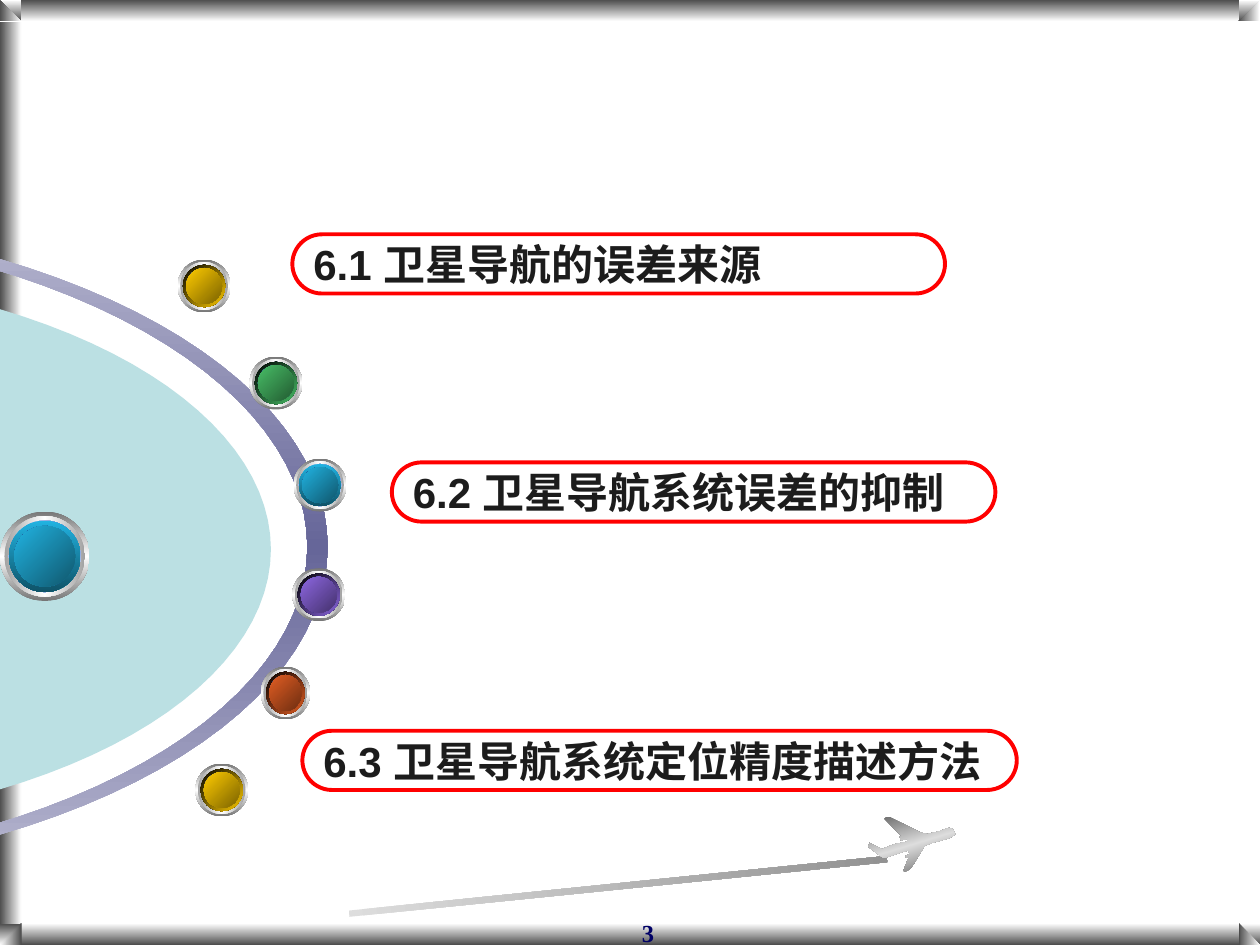
from math import cos, pi, sin
from lxml import etree
from pptx import Presentation
from pptx.dml.color import RGBColor
from pptx.enum import shapes, text
from pptx.oxml.ns import qn
from pptx.util import Inches, Pt

# Theme
THEME = dict(
    red="FF0000", ink="1C1C1C", navy="000066", teal="BBE0E3",
    head=24, num=14, sans="Arial", serif="Times New Roman",
    arc=("B9B9D1", "666699", "B9B9D1"),
    plane=("666666", "DDDDDD", "666666"), trail=("DDDDDD", "929292"),
    ring=("767676", "FFFFFF", "767676"), band=("A2A2A2", "FFFFFF", "A2A2A2"),
    glow=("FFFFFF", "3366CC", "FFFFFF"), core=("1C376E", "3366CC", "1C376E"),
)
OUT = ("4D4D4D", "FFFFFF")
IN = OUT[::-1]

# Content: heading, left, top, width
HEADS = [
    ("6.1 卫星导航的误差来源", 2.32, 1.86, 5.18),
    ("6.2 卫星导航系统误差的抑制", 3.11, 3.67, 4.79),
    ("6.3 卫星导航系统定位精度描述方法", 2.4, 5.8, 5.67),
]
PAGE = "3"

# Knob colours: rim, rim angle, face
GOLD = (("000000", "FFCC00"), 45, ("FFCC00", "7C6300"))
GREEN = (("000000", "48BE67"), 45, ("48BE67", "235C32"))
BLUE = (("21B3E1", "0F5368"), 90, ("21B3E1", "10576D"))
VIOLET = (("000000", "8D67E1"), 45, ("8D67E1", "45326D"))
RUST = (("000000", "E35E23"), 45, ("E35E23", "6E2E11"))
KNOBS = [  # left, top, width, height, colours
    (1.41, 2.06, 0.42, 0.42, GOLD), (1.98, 2.83, 0.42, 0.42, GREEN),
    (2.33, 3.64, 0.42, 0.42, BLUE), (2.32, 4.51, 0.42, 0.42, VIOLET),
    (2.07, 5.29, 0.39, 0.42, RUST), (1.55, 6.06, 0.42, 0.42, GOLD),
    (0, 4.06, 0.71, 0.71, BLUE),
]

# Frame: bars, then corners with turn and flips
EDGE, FAR, LOW = 0.17, 9.83, 7.33
BARS = [
    (0, EDGE, EDGE, 7.25, OUT, 0),
    (EDGE, LOW, 9.67, EDGE, IN, 90),
    (0, 0, 10, EDGE, OUT, 90),
]
CORNERS = [
    (0, 0, 0, "HV", OUT, 90), (0, 0, 0, "", OUT, 0),
    (FAR, 0, 0, "H", IN, 0), (FAR, 0, 0, "V", OUT, 90),
    (FAR, LOW, 270, "H", IN, 0), (FAR, LOW, 270, "V", IN, 90),
    (0, LOW, 90, "HV", IN, 90), (0, LOW, 90, "", OUT, 0),
]
PLANE = [
    (7.57, 6.6), (7.56, 6.58), (7.53, 6.57), (7.5, 6.58), (7.45, 6.6),
    (7.4, 6.61), (7.36, 6.62), (7.31, 6.61), (7.25, 6.58), (7.17, 6.54),
    (7.11, 6.51), (7.07, 6.49), (7.03, 6.49), (7.02, 6.5), (7.04, 6.52),
    (7.08, 6.56), (7.12, 6.6), (7.16, 6.64), (7.14, 6.64), (7.15, 6.67),
    (7.2, 6.66), (7.2, 6.68), (7.15, 6.69), (7.1, 6.7), (7.05, 6.72),
    (7, 6.74), (6.96, 6.72), (6.92, 6.7), (6.9, 6.69), (6.89, 6.72),
    (7.01, 6.81), (7.05, 6.8), (7.11, 6.78), (7.17, 6.76), (7.21, 6.75),
    (7.22, 6.78), (7.19, 6.79), (7.19, 6.81), (7.21, 6.81), (7.17, 6.91),
    (7.18, 6.92), (7.22, 6.9), (7.25, 6.86), (7.28, 6.81), (7.31, 6.76),
    (7.34, 6.71), (7.4, 6.69), (7.47, 6.67), (7.54, 6.65), (7.57, 6.63),
    (7.58, 6.62),
]

prs = Presentation()
prs.slide_width, prs.slide_height = Inches(10), Inches(7.5)
page = prs.slides.add_slide(prs.slide_layouts[6])
KIND = shapes.MSO_SHAPE


def paint(shape, fill, ang=0):
    """Fill with one colour, or with evenly spaced gradient stops."""
    shape.shadow.inherit = False
    shape.line.fill.background()
    if isinstance(fill, str):
        shape.fill.solid()
        shape.fill.fore_color.rgb = RGBColor.from_string(fill)
        return
    shape.fill.background()
    old = shape._element.spPr.find(qn("a:noFill"))
    grad = etree.Element(qn("a:gradFill"), rotWithShape="1")
    stops = etree.SubElement(grad, qn("a:gsLst"))
    for i, tint in enumerate(fill):
        spot = str(100000 * i // (len(fill) - 1))
        stop = etree.SubElement(stops, qn("a:gs"), pos=spot)
        etree.SubElement(stop, qn("a:srgbClr"), val=tint)
    etree.SubElement(grad, qn("a:lin"), ang=str(ang * 60000), scaled="0")
    old.getparent().replace(old, grad)


def add(kind, x, y, w, h, fill, ang=0):
    shape = page.shapes.add_shape(kind, *map(Inches, (x, y, w, h)))
    paint(shape, fill, ang)
    return shape


def trace(points, fill, ang=0):
    spots = [(Inches(x), Inches(y)) for x, y in points]
    pen = page.shapes.build_freeform(*spots[0])
    pen.add_line_segments(spots[1:], close=True)
    paint(pen.convert_to_shape(), fill, ang)


def bow(x, y, rx, ry, n=60):
    """Right half of an ellipse, from top to bottom."""
    turns = [pi * (i / n - 0.5) for i in range(n + 1)]
    return [(x + rx * cos(t), y + ry * sin(t)) for t in turns]


def write(para, words, size, font, tint):
    run = para.add_run()
    run.text = words
    run.font.size, run.font.name, run.font.bold = Pt(size), font, True
    run.font.color.rgb = RGBColor.from_string(tint)


# Frame
for bar in BARS:
    add(KIND.RECTANGLE, *bar)
for x, y, turn, flips, fill, ang in CORNERS:
    tri = add(KIND.RIGHT_TRIANGLE, x, y, EDGE, EDGE, fill, ang)
    tri.rotation = turn
    for axis in flips:
        tri._element.spPr.get_or_add_xfrm().set("flip" + axis, "1")

# Plane and trail
trail = add(KIND.RECTANGLE, 2.76, 7.01, 4.29, 0.05, THEME["trail"])
trail.rotation = 354.2
trace(PLANE, THEME["plane"], 73)

# Page number
box = page.shapes.add_textbox(*map(Inches, (4.33, 7.24, 0.96, 0.33)))
box.text_frame.word_wrap = True
para = box.text_frame.paragraphs[0]
para.alignment = text.PP_ALIGN.RIGHT
write(para, PAGE, THEME["num"], THEME["serif"], THEME["navy"])

# Arc and disc
trace(bow(-2.62, 4.34, 5.22, 2.64) + bow(-2.62, 4.34, 5.06, 2.56)[::-1],
      THEME["arc"], 90)
trace(bow(-2.15, 4.36, 4.3, 2.2), THEME["teal"])

# Knobs: nested ovals, inset by a share of the height
for x, y, w, h, (rim, tilt, face) in KNOBS:
    layers = [
        (0, THEME["ring"], 90), (0.05, THEME["band"], 0),
        (0.1, THEME["glow"], 45), (0.1, rim, tilt),
        (0.16, THEME["core"], 315), (0.16, face, 45),
    ]
    for share, fill, ang in layers:
        d = share * h
        add(KIND.OVAL, x + d, y + d, w - 2 * d, h - 2 * d, fill, ang)

# Headings
for title, x, y, w in HEADS:
    pill = add(KIND.ROUNDED_RECTANGLE, x, y, w, 0.47, THEME["red"])
    pill.adjustments[0] = 0.5
    pill.fill.background()
    pill.line.color.rgb = RGBColor.from_string(THEME["red"])
    pill.line.width = Pt(2.25)
    frame = pill.text_frame
    frame.word_wrap, frame.margin_right = True, 0
    frame.vertical_anchor = text.MSO_ANCHOR.MIDDLE
    para = frame.paragraphs[0]
    para.alignment = text.PP_ALIGN.LEFT
    write(para, title, THEME["head"], THEME["sans"], THEME["ink"])

prs.save("out.pptx")
